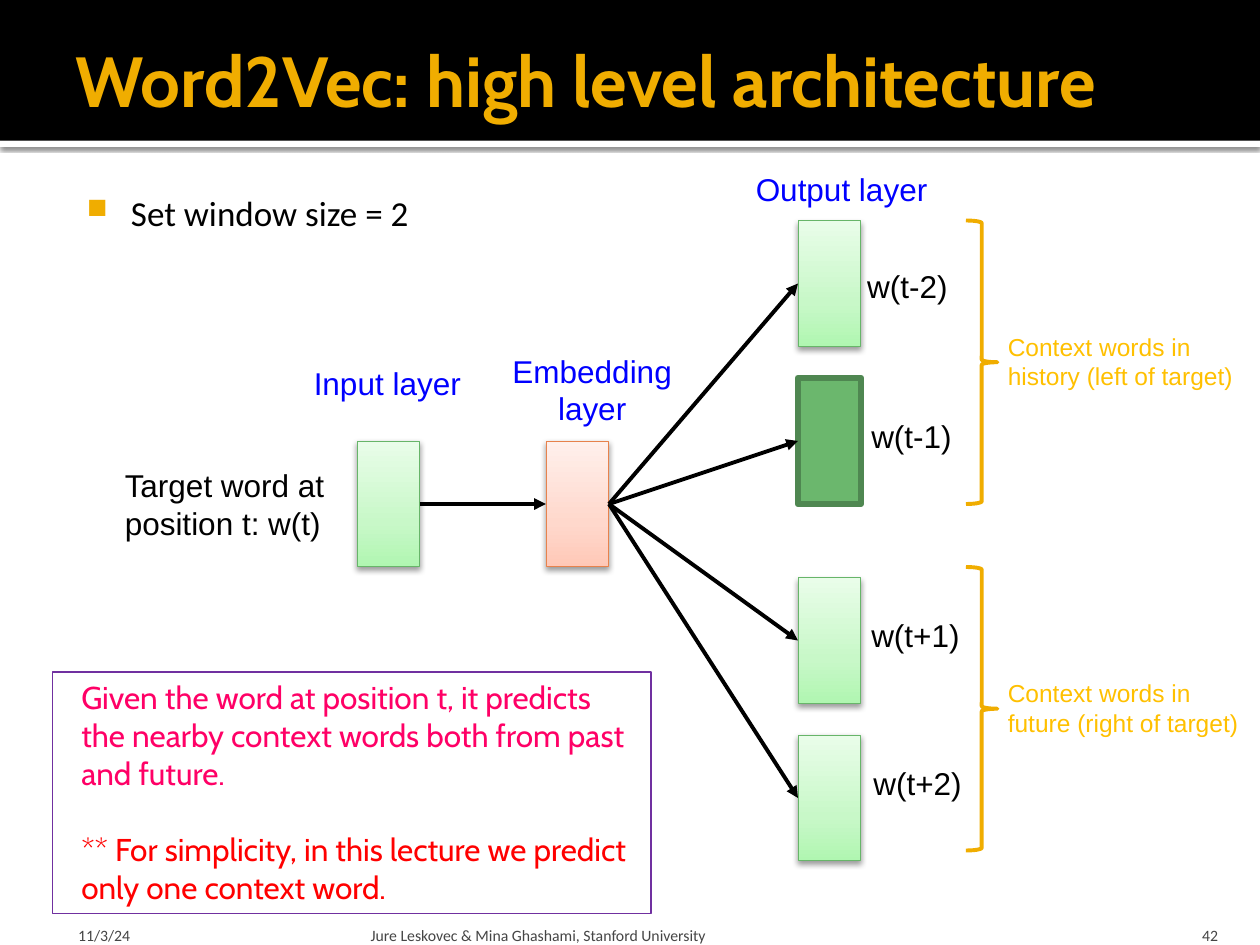
from dataclasses import dataclass

from lxml.etree import SubElement
from pptx import Presentation
from pptx.dml.color import RGBColor
from pptx.enum.shapes import MSO_CONNECTOR as Connector, MSO_SHAPE as Shape
from pptx.enum.text import MSO_ANCHOR as Anchor, PP_ALIGN as Align
from pptx.oxml.ns import qn
from pptx.util import Inches, Pt

TOP, LEFT, BOTTOM, RIGHT = range(4)
COLUMNS, ROWS = 120, 90


@dataclass(frozen=True)
class Theme:
    black: str = "000000"
    white: str = "FFFFFF"
    gold: str = "F0AD00"
    amber: str = "FFC000"
    blue: str = "0000FF"
    pink: str = "FF0066"
    red: str = "FF0000"
    purple: str = "7030A0"
    grey: str = "454545"
    green: tuple = ("B0F6B1", "C8F8C8", "E9FDE9")
    green_edge: str = "67B569"
    orange: tuple = ("FFC8B7", "FFD8CC", "FFF0EC")
    orange_edge: str = "E7824C"
    chosen: str = "6BB76D"
    chosen_edge: str = "4F8751"
    title_size: float = 40.5
    body_size: float = 20
    label_size: float = 18
    note_size: float = 14
    footer_size: float = 9
    heading_font: str = "Cabin"
    body_font: str = "Calibri"
    label_font: str = "Arial"


class Canvas:
    """Draws on one slide, with lengths in grid columns and rows."""

    def __init__(self, deck, theme):
        self.theme = theme
        self.page = deck.slides.add_slide(deck.slide_layouts[6])
        self.column = deck.slide_width / COLUMNS
        self.row = deck.slide_height / ROWS

    def place(self, left, top, width, height):
        return (round(left * self.column), round(top * self.row),
                round(width * self.column), round(height * self.row))

    def shape(self, area, fill=None, edge=None, weight=0.5, shadow=None, kind=Shape.RECTANGLE):
        item = self.page.shapes.add_shape(kind, *self.place(*area))
        if fill is None:
            item.fill.background()
        elif isinstance(fill, tuple):
            self.gradient(item, fill)
        else:
            item.fill.solid()
            item.fill.fore_color.rgb = RGBColor.from_string(fill)
        if edge:
            item.line.color.rgb = RGBColor.from_string(edge)
            item.line.width = Pt(weight)
        else:
            item.line.fill.background()
        item.shadow.inherit = False
        if shadow:
            self.shadow(item, *shadow)
        return item

    def gradient(self, item, colors):
        item.fill.gradient()
        item.fill.gradient_angle = 90
        stops = item._element.spPr.find(".//" + qn("a:gsLst"))
        for stop in list(stops):
            stops.remove(stop)
        for share, color in zip((0, 35, 100), colors):
            stop = SubElement(stops, qn("a:gs"), pos=str(share * 1000))
            SubElement(stop, qn("a:srgbClr"), val=color)

    def shadow(self, item, opacity, blur, distance):
        effects = item._element.spPr.find(qn("a:effectLst"))
        outer = SubElement(effects, qn("a:outerShdw"), blurRad=str(Pt(blur)),
                           dist=str(Pt(distance)), dir="5400000", rotWithShape="0")
        color = SubElement(outer, qn("a:srgbClr"), val=self.theme.black)
        SubElement(color, qn("a:alpha"), val=str(opacity * 1000))

    def layer(self, left, top, fill, edge):
        return self.shape((left, top, 6, 12), fill, edge, shadow=(38, 3.5, 2))

    def brace(self, top):
        self.shape((92, top, 3, 27), edge=self.theme.gold, weight=2.25, kind=Shape.RIGHT_BRACE)

    def arrow(self, start, end):
        link = self.page.shapes.add_connector(Connector.STRAIGHT, 0, 0, 0, 0)
        link.begin_connect(start, RIGHT)
        link.end_connect(end, LEFT)
        link.line.color.rgb = RGBColor.from_string(self.theme.black)
        link.line.width = Pt(2.25)
        properties = link._element.spPr
        SubElement(properties.find(qn("a:ln")), qn("a:tailEnd"), type="triangle")
        SubElement(properties, qn("a:effectLst"))

    def add_span(self, para, text, size, font, color, bold=False):
        span = para.add_run()
        span.text = text
        span.font.size = Pt(size)
        span.font.name = font
        span.font.bold = bold
        span.font.color.rgb = RGBColor.from_string(color)

    def text(self, area, text, size, font, color, bold=False, align=Align.LEFT,
             anchor=Anchor.TOP, insets=(0.1, 0.05, 0.1, 0.05)):
        box = self.page.shapes.add_textbox(*self.place(*area))
        frame = box.text_frame
        frame.word_wrap = True
        frame.vertical_anchor = anchor
        (frame.margin_left, frame.margin_top,
         frame.margin_right, frame.margin_bottom) = map(Inches, insets)
        para = frame.paragraphs[0]
        para.alignment = align
        self.add_span(para, text, size, font, color, bold)
        return para

    def label(self, area, text, color=None, size=None, align=Align.LEFT):
        self.text(area, text, size or self.theme.label_size, self.theme.label_font,
                  color or self.theme.black, align=align)

    def footer(self, left, width, text, insets, align=Align.LEFT):
        self.text((left, 86.4, width, 3.6), text, self.theme.footer_size, self.theme.body_font,
                  self.theme.grey, align=align, anchor=Anchor.BOTTOM, insets=insets)

    def bullet(self, area, text):
        para = self.text(area, text, self.theme.body_size, self.theme.body_font,
                         self.theme.black, insets=(0.06, 0.1, 0.1, 0.05))
        properties = para._p.get_or_add_pPr()
        properties.set("marL", str(Inches(0.48)))
        properties.set("indent", str(Inches(-0.35)))
        color = SubElement(properties, qn("a:buClr"))
        SubElement(color, qn("a:srgbClr"), val=self.theme.gold)
        SubElement(properties, qn("a:buSzPct"), val="80000")
        SubElement(properties, qn("a:buChar"), char="■")

    def note(self, area, lines):
        box = self.shape(area, edge=self.theme.purple, weight=0.75)
        frame = box.text_frame
        frame.word_wrap = True
        frame.vertical_anchor = Anchor.TOP
        for index, (text, color) in enumerate(lines):
            para = frame.add_paragraph() if index else frame.paragraphs[0]
            para.alignment = Align.LEFT
            para._p.get_or_add_pPr().set("marL", str(Inches(0.13)))
            if index:
                para.space_before = Pt(22)
            self.add_span(para, text, self.theme.label_size, self.theme.heading_font, color)


def main():
    deck = Presentation()
    deck.slide_width, deck.slide_height = Inches(10), Inches(7.5)
    theme = Theme()
    canvas = Canvas(deck, theme)

    # Title band, bullet and footer
    canvas.shape((0, 13.4, COLUMNS, 0.6), theme.white, shadow=(60, 2.5, 0.8))
    canvas.shape((0, 0, COLUMNS, 13.4), theme.black)
    canvas.text((6, 1, 108, 13), "Word2Vec: high level architecture", theme.title_size,
                theme.heading_font, theme.gold, bold=True, anchor=Anchor.MIDDLE,
                insets=(0.1, 0.05, 0.05, 0.05))
    canvas.bullet((6, 17, 108, 69), "Set window size = 2")
    canvas.footer(6, 28, "11/3/24", (0.12, 0.05, 0.05, 0))
    canvas.footer(34.7, 72.2, "Jure Leskovec & Mina Ghashami, Stanford University",
                  (0.05, 0.05, 0.05, 0))
    canvas.footer(107.6, 9.6, "42", (0.1, 0.05, 0.1, 0), Align.RIGHT)

    # Layers, with the predicted word highlighted
    source = canvas.layer(34, 42, theme.green, theme.green_edge)
    embedding = canvas.layer(52, 42, theme.orange, theme.orange_edge)
    outputs = [canvas.layer(76, 21, theme.green, theme.green_edge),
               canvas.shape((76, 36, 6, 12), theme.chosen, theme.chosen_edge, 3.78)]
    outputs += [canvas.layer(76, top, theme.green, theme.green_edge) for top in (55, 70)]

    # Arrows
    canvas.arrow(source, embedding)
    for output in outputs:
        canvas.arrow(embedding, output)

    # Labels
    canvas.label((10.7, 43.8, 28, 8.5), "Target word at position t: w(t)")
    for left, top, word in ((81.4, 24.8, "w(t-2)"), (81.8, 39.1, "w(t-1)"),
                            (81.8, 58.1, "w(t+1)"), (82, 72.2, "w(t+2)")):
        canvas.label((left, top, 30.6, 4.8), word)
    canvas.label((28.7, 34.1, 30.6, 4.8), "Input layer", theme.blue)
    canvas.label((47.4, 32.9, 18, 8.5), "Embedding layer", theme.blue, align=Align.CENTER)
    canvas.label((70.8, 15.6, 30.6, 4.8), "Output layer", theme.blue)

    # Context groups
    for top, width, text in ((21, 24.2, "Context words in history (left of target)"),
                             (54, 25.2, "Context words in future (right of target)")):
        canvas.brace(top)
        canvas.label((94.8, top + 10, width, 6.8), text, theme.amber, theme.note_size)

    # Explanation
    canvas.note((5, 64, 57, 23), (
        ("Given the word at position t, it predicts the nearby context words "
         "both from past and future.", theme.pink),
        ("** For simplicity, in this lecture we predict only one context word.", theme.red)))

    deck.save("out.pptx")


if __name__ == "__main__":
    main()
